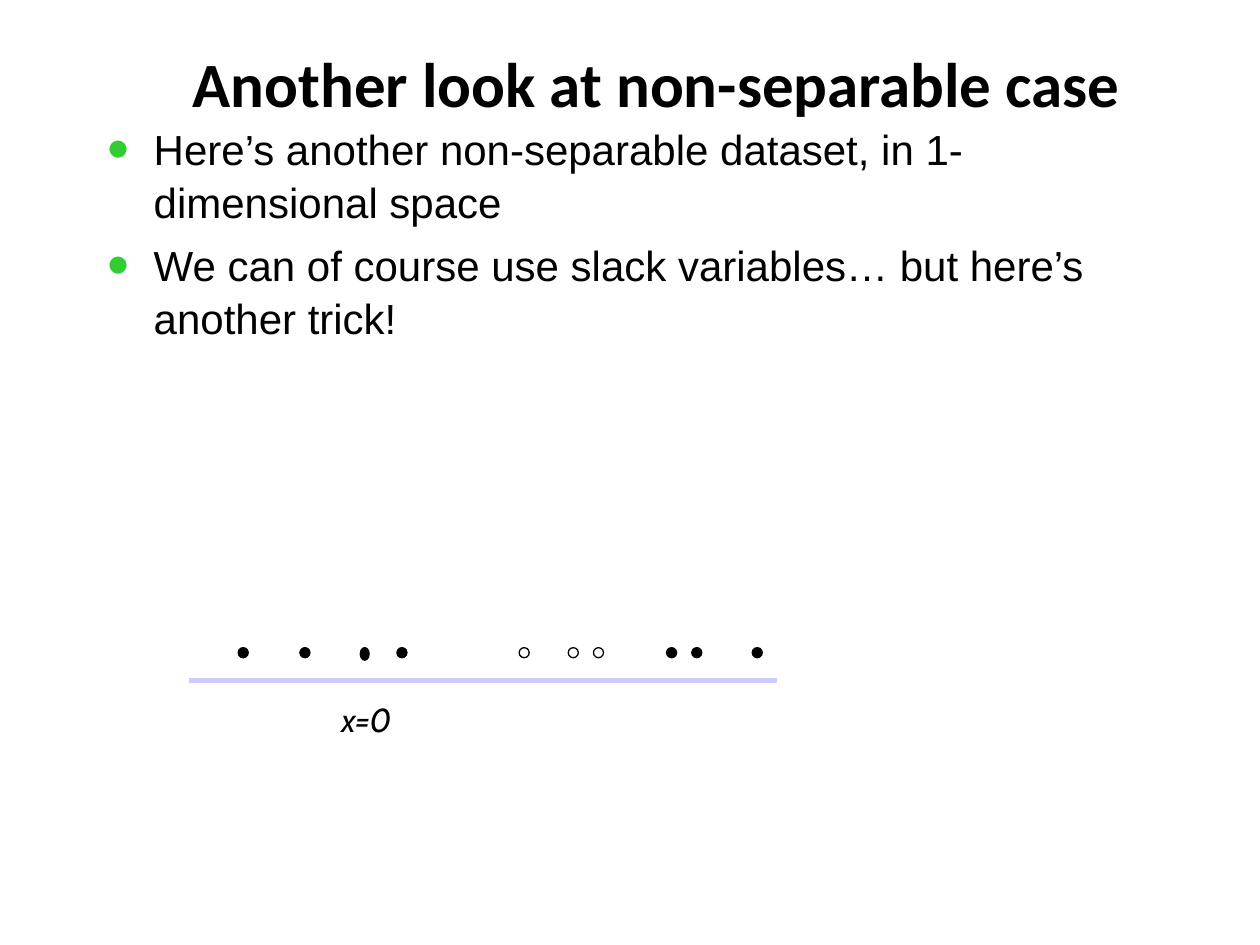
from lxml.etree import SubElement
from pptx import Presentation
from pptx.dml.color import RGBColor
from pptx.enum.shapes import MSO_CONNECTOR as Connector, MSO_SHAPE as Shape
from pptx.enum.text import MSO_ANCHOR as Anchor, MSO_AUTO_SIZE as AutoSize, PP_ALIGN as Align
from pptx.oxml.ns import qn
from pptx.util import Inches, Pt

BLACK = RGBColor(0x00, 0x00, 0x00)
GREEN = RGBColor(0x33, 0xCC, 0x33)
LAVENDER = RGBColor(0xCC, 0xCC, 0xFF)

BULLETS = [
    ("Here’s another non-separable dataset, in 1-", True, 0),
    ("dimensional space", False, 0),
    ("We can of course use slack variables… but here’s another trick!", True, 6),
]
DOT_TOP = 5.14
FILLED_DOTS = [1.89, 2.38, 3.15, 5.29, 5.49, 5.97]
HOLLOW_DOTS = [4.12, 4.51, 4.71]


class SlideBuilder:
    """Holds the slide and its style, and draws each kind of element."""

    title_font = "Calibri"
    body_font = "Arial"
    label_font = "Cabin"

    def __init__(self, presentation):
        self.slide = presentation.slides.add_slide(presentation.slide_layouts[1])

    def place(self, shape, left, top, width, height):
        shape.left, shape.top = Inches(left), Inches(top)
        shape.width, shape.height = Inches(width), Inches(height)

    def frame(self, shape, anchor=Anchor.TOP):
        frame = shape.text_frame
        frame.margin_left = frame.margin_right = 0
        frame.margin_top = frame.margin_bottom = 0
        frame.word_wrap = True
        frame.auto_size = AutoSize.NONE
        frame.vertical_anchor = anchor
        return frame

    def indent(self, paragraph, margin, first=0):
        properties = paragraph._p.get_or_add_pPr()
        properties.set("marL", str(Inches(margin)))
        properties.set("indent", str(Inches(first)))
        return properties

    def style(self, paragraph, name, size, bold=False, italic=False):
        font = paragraph.font
        font.name, font.size = name, Pt(size)
        font.bold, font.italic = bold, italic
        font.color.rgb = BLACK

    def title(self, text, left, top, width, height):
        shape = self.slide.shapes.title
        self.place(shape, left, top, width, height)
        paragraph = self.frame(shape, Anchor.MIDDLE).paragraphs[0]
        paragraph.text = text
        paragraph.alignment = Align.LEFT
        self.indent(paragraph, 0.86)
        self.style(paragraph, self.title_font, 36, bold=True)

    def bullets(self, items, left, top, width, height):
        shape = self.slide.placeholders[1]
        self.place(shape, left, top, width, height)
        frame = self.frame(shape)
        for index, (text, bulleted, space_before) in enumerate(items):
            paragraph = frame.add_paragraph() if index else frame.paragraphs[0]
            paragraph.text = text
            properties = self.indent(paragraph, 0.39, -0.37 if bulleted else 0)
            if bulleted:
                color = SubElement(properties, qn("a:buClr"))
                SubElement(color, qn("a:srgbClr"), val=str(GREEN))
                SubElement(properties, qn("a:buSzPct"), val="150000")
                SubElement(properties, qn("a:buFont"), typeface=self.body_font)
                SubElement(properties, qn("a:buChar"), char="•")
            else:
                SubElement(properties, qn("a:buNone"))
            paragraph.space_before = Pt(space_before)
            paragraph.line_spacing = 1.05
            self.style(paragraph, self.body_font, 24)

    def axis(self, left, right, y):
        line = self.slide.shapes.add_connector(
            Connector.STRAIGHT, Inches(left), Inches(y), Inches(right), Inches(y))
        line.line.color.rgb = LAVENDER
        line.line.width = Pt(3)
        SubElement(line._element.spPr, qn("a:effectLst"))

    def dot(self, left, filled=True, width=0.08, height=0.08):
        dot = self.slide.shapes.add_shape(
            Shape.OVAL, Inches(left), Inches(DOT_TOP), Inches(width), Inches(height))
        dot.shadow.inherit = False
        dot.line.color.rgb = BLACK
        dot.line.width = Pt(0.75)
        if filled:
            dot.fill.solid()
            dot.fill.fore_color.rgb = BLACK
        else:
            dot.fill.background()

    def label(self, text, left, top, width, height):
        shape = self.slide.shapes.add_textbox(
            Inches(left), Inches(top), Inches(width), Inches(height))
        paragraph = self.frame(shape).paragraphs[0]
        run = paragraph.add_run()
        run.text = text
        run._r.get_or_add_rPr().set("spc", "-60")
        self.style(paragraph, self.label_font, 19, italic=True)


def main():
    presentation = Presentation()
    presentation.slide_width, presentation.slide_height = Inches(10), Inches(7.5)
    builder = SlideBuilder(presentation)
    builder.title("Another look at non-separable case", 0.67, 0.35, 9, 0.61)
    builder.bullets(BULLETS, 0.83, 0.96, 7.85, 1.68)
    builder.axis(1.5, 6.17, 5.4)
    for left in FILLED_DOTS:
        builder.dot(left)
    builder.dot(2.86, width=0.07, height=0.1)
    for left in HOLLOW_DOTS:
        builder.dot(left, filled=False)
    builder.label("x=0", 2.71, 5.55, 0.47, 0.32)
    presentation.save("out.pptx")


if __name__ == "__main__":
    main()
